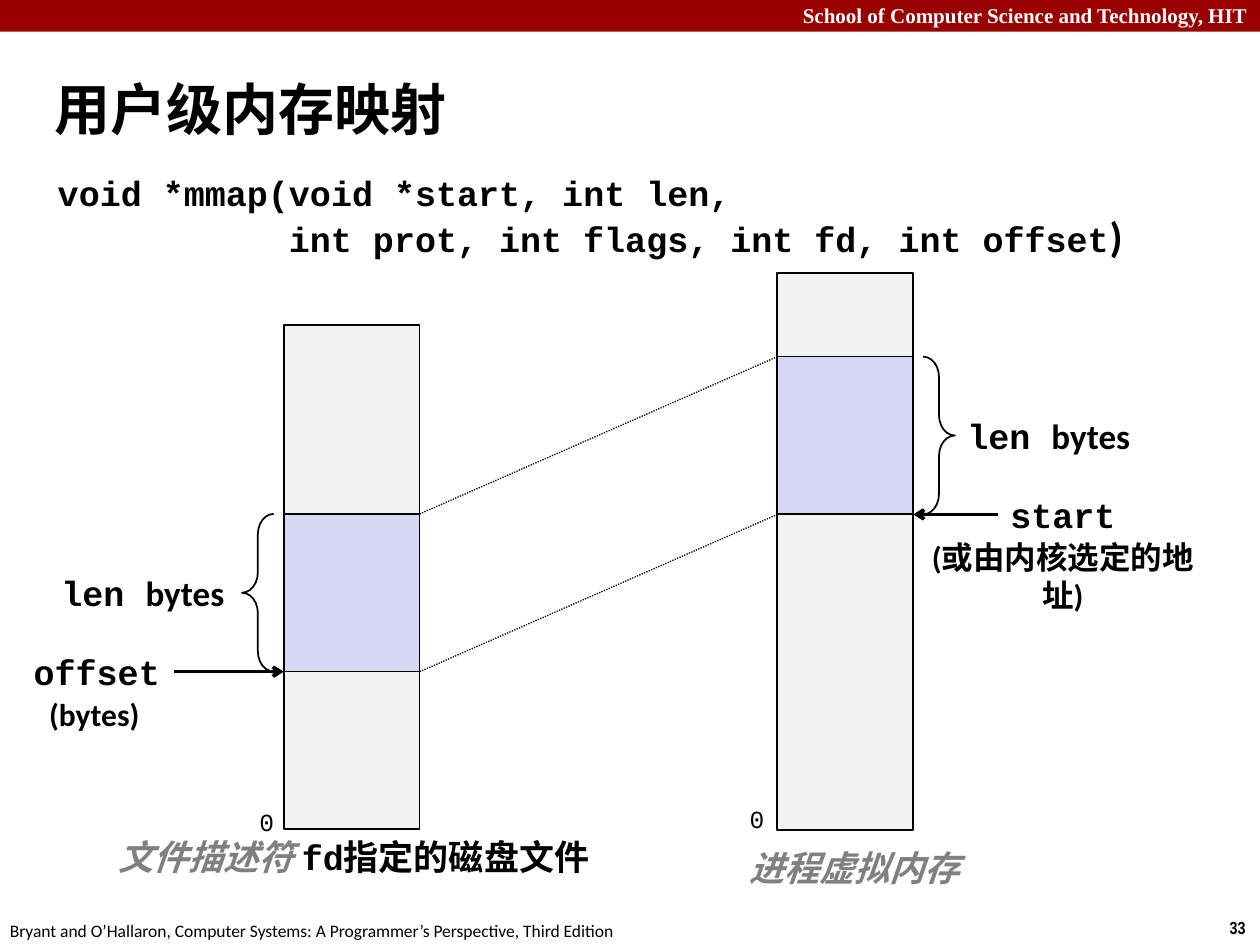
from lxml.etree import SubElement
from pptx import Presentation
from pptx.dml.color import RGBColor
from pptx.enum.dml import MSO_LINE
from pptx.enum.shapes import MSO_CONNECTOR, MSO_SHAPE
from pptx.enum.text import MSO_ANCHOR, MSO_AUTO_SIZE, PP_ALIGN
from pptx.oxml.ns import qn
from pptx.util import Cm, Pt

COLORS = {"black": "000000", "white": "FFFFFF", "gray": "808080",
          "banner": "990000", "memory": "F2F2F2", "mapped": "D6D6F5"}
MONO, SANS = "Courier New", "Calibri"
LEFT, CENTER, RIGHT = PP_ALIGN.LEFT, PP_ALIGN.CENTER, PP_ALIGN.RIGHT

# Content: a run is (text, size, font, colour, style), lengths in cm
TITLE = [("用户级内存映射", 32, SANS, "black", "b")]
PROTOTYPE = [  # (indent, runs)
    (0, [("void *mmap(void *start, int len,", 20, MONO, "black", "b")]),
    (4.66, [("int prot, int flags, int fd, int offset", 20, MONO, "black", "b"),
            (")", 24, SANS, "black", "b")]),
]
LEN = [("len ", 20, MONO, "black", "b"), ("bytes", 20, SANS, "black", "b")]
ZERO = [("0", 14, MONO, "black", "")]
LABELS = [  # (left, top, width, height, alignment, wrap, runs)
    (0, -0.08, 25.4, 0.76, RIGHT, True,
     [("School of Computer Science and Technology, HIT", 12, "Times New Roman", "white", "b")]),
    (24.54, 18.36, 0.86, 0.69, LEFT, False, [("33", 10, "Arial Narrow", "black", "b")]),
    (-0.05, 18.42, 12.9, 0.69, LEFT, False,
     [("Bryant and O’Hallaron, Computer Systems: A Programmer’s Perspective, Third Edition",
       10, SANS, "black", "")]),
    (19.25, 8.23, 3.84, 1.12, LEFT, False, LEN),
    (0.99, 11.4, 3.84, 1.12, LEFT, False, LEN),
    (20.12, 9.83, 2.64, 1.12, LEFT, False, [("start", 20, MONO, "black", "b")]),
    (18.25, 10.72, 6.35, 1.02, CENTER, True,
     [("(或由内核选定的地址)", 18, SANS, "black", "b")]),
    (0.43, 12.98, 3.07, 1.12, LEFT, False, [("offset", 20, MONO, "black", "b")]),
    (0.74, 13.89, 2.34, 1.02, LEFT, False, [("(bytes)", 18, SANS, "black", "b")]),
    (14.86, 16.94, 4.83, 1.12, LEFT, False, [("进程虚拟内存", 20, SANS, "gray", "bi")]),
    (1.93, 16.71, 10.41, 1.12, CENTER, False,
     [("文件描述符 ", 20, SANS, "gray", "bi"), ("fd指定的磁盘文件", 20, MONO, "black", "b")]),
    (4.98, 16.15, 0.81, 0.86, LEFT, False, ZERO),
    (14.86, 16.08, 0.81, 0.86, LEFT, False, ZERO),
]

# Memory columns: left, top, bottom, top of the mapped region
FILE = (5.72, 6.55, 16.71, 10.36)
PROCESS = (15.67, 5.51, 16.74, 7.19)
COL_W, MAP_H = 2.74, 3.18
BRACE_W, BRACE_GAP = 0.64, 0.2


def rgb(name):
    return RGBColor.from_string(COLORS[name])


def add_runs(p, runs):
    for text, size, font, color, style in runs:
        r = p.add_run()
        r.text = text
        r.font.size, r.font.name = Pt(size), font
        r.font.bold, r.font.italic = "b" in style, "i" in style
        r.font.color.rgb = rgb(color)


def place(sp, *box):
    sp.left, sp.top, sp.width, sp.height = map(Cm, box)


def add_shape(kind, box, fill=None, line="black"):
    sp = s.shapes.add_shape(kind, *map(Cm, box))
    sp.shadow.inherit = False
    if fill:
        sp.fill.solid()
        sp.fill.fore_color.rgb = rgb(fill)
    else:
        sp.fill.background()
    if line:
        sp.line.color.rgb, sp.line.width = rgb(line), Pt(1)
    else:
        sp.line.fill.background()
    return sp


def add_line(x1, y1, x2, y2, width):
    ln = s.shapes.add_connector(MSO_CONNECTOR.STRAIGHT, Cm(x1), Cm(y1), Cm(x2), Cm(y2))
    ln.line.color.rgb, ln.line.width = rgb("black"), Pt(width)
    SubElement(ln._element.spPr, qn("a:effectLst"))
    return ln


def add_arrow(x1, x2, y):
    ln = add_line(x1, y, x2, y, 2)
    SubElement(ln.line._get_or_add_ln(), qn("a:tailEnd"), type="arrow")


def add_brace(x, y, flip=False):
    sp = add_shape(MSO_SHAPE.RIGHT_BRACE, (x, y, BRACE_W, MAP_H))
    sp.adjustments[0] = 0.64
    if flip:
        sp._element.spPr.xfrm.set("flipH", "1")


prs = Presentation()
prs.slide_width, prs.slide_height = Cm(25.4), Cm(19.05)
s = prs.slides.add_slide(prs.slide_layouts[1])

# Banner
add_shape(MSO_SHAPE.RECTANGLE, (0, 0, 25.4, 0.64), "banner", None)

# Title
title = s.shapes.title
place(title, 0.84, 1.37, 24.13, 1.6)
tf = title.text_frame
tf.auto_size, tf.vertical_anchor = MSO_AUTO_SIZE.NONE, MSO_ANCHOR.MIDDLE
tf.paragraphs[0].alignment = LEFT
add_runs(tf.paragraphs[0], TITLE)

# Function prototype
body = s.placeholders[1]
place(body, 0.91, 3.4, 23.09, 2.31)
tf = body.text_frame
tf.auto_size = MSO_AUTO_SIZE.NONE
for i, (indent, runs) in enumerate(PROTOTYPE):
    p = tf.add_paragraph() if i else tf.paragraphs[0]
    p.line_spacing, p.space_before = 0.94, Pt(0)
    pPr = p._p.get_or_add_pPr()
    pPr.set("marL", str(Cm(indent)))
    pPr.set("indent", "0")
    SubElement(pPr, qn("a:buNone"))
    add_runs(p, runs)

# Memory columns with their mapped regions
for left, top, bottom, mapped in (FILE, PROCESS):
    add_shape(MSO_SHAPE.RECTANGLE, (left, top, COL_W, bottom - top), "memory")
    add_shape(MSO_SHAPE.RECTANGLE, (left, mapped, COL_W, MAP_H), "mapped")

# Dotted lines from file region to process region
file_x, file_y = FILE[0], FILE[3]
proc_x, proc_y = PROCESS[0], PROCESS[3]
for dy in (0, MAP_H):
    ln = add_line(file_x + COL_W, file_y + dy, proc_x, proc_y + dy, 0.75)
    ln.line.dash_style = MSO_LINE.ROUND_DOT

# Braces and arrows
add_brace(proc_x + COL_W + BRACE_GAP, proc_y)
add_brace(file_x - BRACE_GAP - BRACE_W, file_y, flip=True)
add_arrow(20.12, proc_x + COL_W, proc_y + MAP_H)
add_arrow(3.51, file_x, file_y + MAP_H)

# Labels
for *box, align, wrap, runs in LABELS:
    tf = s.shapes.add_textbox(*map(Cm, box)).text_frame
    tf.word_wrap = wrap
    tf.paragraphs[0].alignment = align
    add_runs(tf.paragraphs[0], runs)

prs.save("out.pptx")
